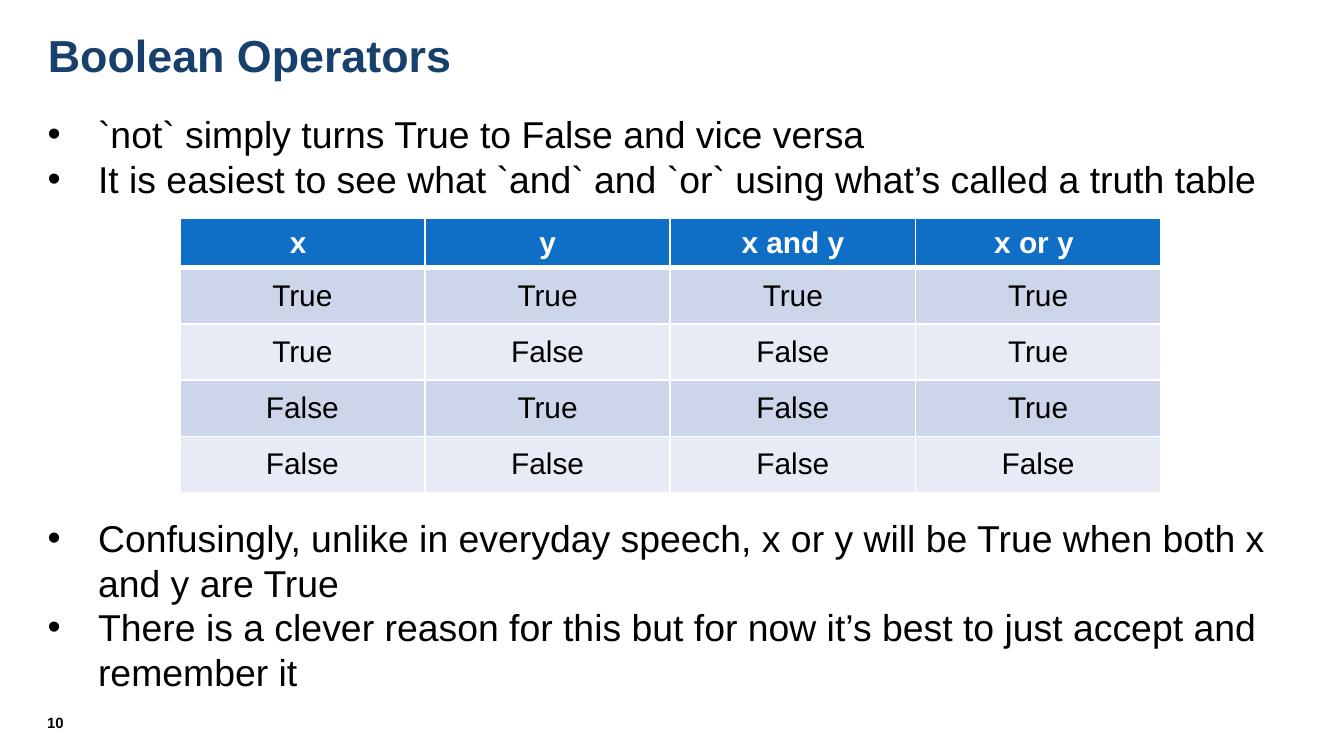
from lxml import etree
from pptx import Presentation
from pptx.dml.color import RGBColor
from pptx.enum.text import MSO_ANCHOR, MSO_AUTO_SIZE, PP_ALIGN
from pptx.oxml.ns import qn
from pptx.util import Emu, Pt

MIDDLE, TOP = MSO_ANCHOR.MIDDLE, MSO_ANCHOR.TOP
LEFT, CENTER = PP_ALIGN.LEFT, PP_ALIGN.CENTER
NO_AUTOFIT = MSO_AUTO_SIZE.NONE

PX_PER_INCH = 160
FONT = "Arial"
WHITE, BLACK, NAVY, BLUE = "FFFFFF", "000000", "17406D", "0F6FC6"
BANDS = ("CCD5EA", "E7EBF5")
LINE_PITCH = 24
TABLE_GAP_LINES = 7

POINTS = [
    "`not` simply turns True to False and vice versa",
    "It is easiest to see what `and` and `or` using what’s called a truth table",
    "Confusingly, unlike in everyday speech, x or y will be True when both x and y are True",
    "There is a clever reason for this but for now it’s best to just accept and remember it",
]
POINT_AFTER_TABLE = 2
HEADINGS = ["x ", "y", "x and y", "x or y "]


def px(length):
    return Emu(length * 914400 // PX_PER_INCH)


def color(hex_code):
    return RGBColor.from_string(hex_code)


def style(paragraph, size, ink, bold=False, align=LEFT):
    paragraph.alignment = align
    for run in paragraph.runs:
        run.font.name = FONT
        run.font.size = Pt(size)
        run.font.bold = bold
        run.font.color.rgb = color(ink)


def add_title(slide, text, box):
    title = slide.shapes.title
    title.left, title.top, title.width, title.height = map(px, box)
    frame = title.text_frame
    frame.text = text
    frame.word_wrap = True
    frame.auto_size = NO_AUTOFIT
    frame.vertical_anchor = MIDDLE
    frame.paragraphs[0].line_spacing = 0.85
    style(frame.paragraphs[0], 24, NAVY, bold=True)


def add_frame(slide, box):
    frame = slide.shapes.add_textbox(*map(px, box)).text_frame
    frame.word_wrap = True
    frame.vertical_anchor = TOP
    return frame


def add_page_number(slide, number, box):
    frame = add_frame(slide, box)
    frame.margin_left = frame.margin_right = 0
    frame.margin_top = frame.margin_bottom = 0
    frame.text = str(number)
    style(frame.paragraphs[0], 8, BLACK, bold=True)


def add_bullet(paragraph, indent):
    properties = paragraph._p.get_or_add_pPr()
    properties.set("marL", str(px(indent)))
    properties.set("indent", str(-px(indent)))
    etree.SubElement(properties, qn("a:buFont"), typeface=FONT)
    etree.SubElement(properties, qn("a:buChar"), char="•")


def add_points(slide, box):
    frame = add_frame(slide, box)
    for index, point in enumerate(POINTS):
        paragraph = frame.add_paragraph() if index else frame.paragraphs[0]
        paragraph.text = point
        add_bullet(paragraph, 60)
        paragraph.line_spacing = Pt(LINE_PITCH)
        if index == POINT_AFTER_TABLE:
            paragraph.space_before = Pt(TABLE_GAP_LINES * LINE_PITCH)
        style(paragraph, 20, BLACK)


def add_borders(cell, bottom_width):
    properties = cell._tc.get_or_add_tcPr()
    widths = {"a:lnL": 1, "a:lnR": 1, "a:lnT": 1, "a:lnB": bottom_width}
    for position, (side, width) in enumerate(widths.items()):
        line = etree.Element(qn(side), w=str(Pt(width)))
        fill = etree.SubElement(line, qn("a:solidFill"))
        etree.SubElement(fill, qn("a:srgbClr"), val=WHITE)
        properties.insert(position, line)


def fill_cell(cell, text, background, ink, is_heading):
    cell.text = text
    cell.vertical_anchor = MIDDLE
    cell.fill.solid()
    cell.fill.fore_color.rgb = color(background)
    style(cell.text_frame.paragraphs[0], 16, ink, is_heading, CENTER)
    add_borders(cell, 3 if is_heading else 1)


def add_truth_table(slide, box):
    truths = [(x, y, x and y, x or y) for x in (True, False) for y in (True, False)]
    rows = [HEADINGS] + truths
    table = slide.shapes.add_table(len(rows), len(HEADINGS), *map(px, box)).table
    for column in table.columns:
        column.width = px(box[2] // len(HEADINGS))
    for row_index, values in enumerate(rows):
        is_heading = row_index == 0
        table.rows[row_index].height = px(57 if is_heading else 67)
        background = BLUE if is_heading else BANDS[(row_index - 1) % 2]
        ink = WHITE if is_heading else BLACK
        for column_index, value in enumerate(values):
            cell = table.cell(row_index, column_index)
            fill_cell(cell, str(value), background, ink, is_heading)


def main():
    deck = Presentation()
    deck.slide_width, deck.slide_height = px(1600), px(900)
    slide = deck.slides.add_slide(deck.slide_layouts[5])
    add_title(slide, "Boolean Operators", (41, 26, 1450, 88))
    add_page_number(slide, 10, (56, 849, 69, 29))
    add_points(slide, (41, 125, 1502, 680))
    add_truth_table(slide, (214, 260, 1168, 325))
    deck.save("out.pptx")


if __name__ == "__main__":
    main()
